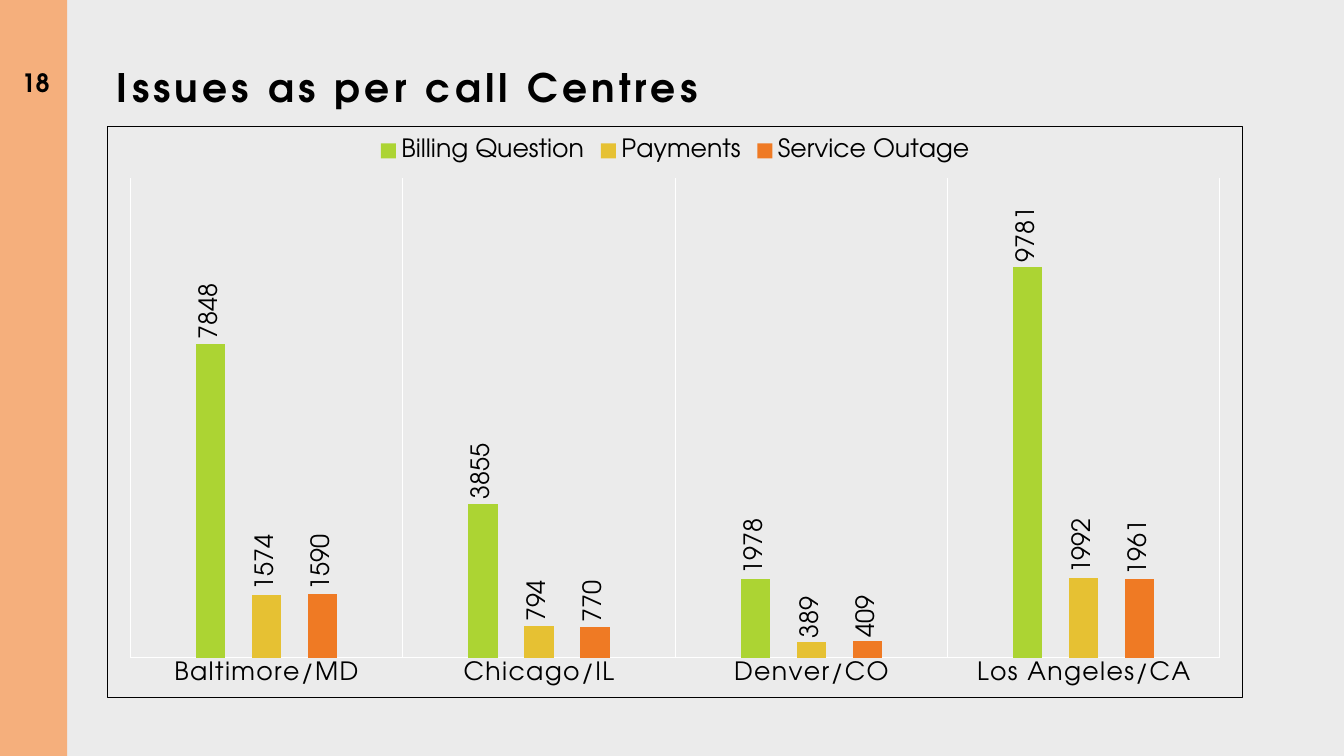
import pptx
import pptx.chart.data
import pptx.dml.color
import pptx.enum.chart
import pptx.enum.shapes
import pptx.enum.text
import pptx.oxml
import pptx.oxml.ns
import pptx.util

PX = 9525  # EMU per px, slide of 1280 x 720
FONT = "TeX Gyre Adventor"
BLACK, WHITE = "000000", "FFFFFF"
CENTRES = ["Baltimore/MD", "Chicago/IL", "Denver/CO", "Los Angeles/CA"]
ISSUES = [
    ("Billing Question", "ACD433", (7848, 3855, 1978, 9781)),
    ("Payments", "E6C133", (1574, 794, 389, 1992)),
    ("Service Outage", "EF7A24", (1590, 770, 409, 1961)),
]
qn = pptx.oxml.ns.qn


def box(*lengths):
    return [n * PX for n in lengths]


def rgb(value):
    return pptx.dml.color.RGBColor.from_string(value)


def fill(obj, color):
    obj.fill.solid()
    obj.fill.fore_color.rgb = rgb(color)


def set_font(font, size, bold=False):
    font.name = FONT
    font.size = pptx.util.Pt(size)
    font.bold = bold
    font.color.rgb = rgb(BLACK)


def set_line(line, color):
    line.color.rgb = rgb(color)
    line.width = pptx.util.Pt(0.75)


def set_spacing(element, points):
    for props in element.iter(qn("a:defRPr")):
        props.set("spc", str(points * 100))


def add_band(s, at, color):
    sp = s.shapes.add_shape(pptx.enum.shapes.MSO_SHAPE.RECTANGLE, *box(*at))
    sp.shadow.inherit = False
    fill(sp, color)
    sp.line.fill.background()


def add_text(s, at, text, size):
    sp = s.shapes.add_textbox(*box(*at))
    tf = sp.text_frame
    tf.word_wrap = True
    p = tf.paragraphs[0]
    p.text = text
    set_font(p.font, size, bold=True)
    return sp


def add_xml(xml):
    return pptx.oxml.parse_xml(xml.replace(">", " " + pptx.oxml.ns.nsdecls("c", "a") + ">", 1))


def add_chart_frame(chart, color):
    chart.element.find(qn("c:chart")).addnext(add_xml(
        '<c:spPr><a:noFill/><a:ln w="9525"><a:solidFill>'
        f'<a:srgbClr val="{color}"/></a:solidFill></a:ln></c:spPr>'))


def set_plot_area(chart, **place):
    area = chart.plots[0]._element.getparent()
    for old in area.findall(qn("c:layout")):
        area.remove(old)
    sizes = "".join(f'<c:{k} val="{v}"/>' for k, v in place.items())
    area.insert(0, add_xml(
        '<c:layout><c:manualLayout><c:layoutTarget val="inner"/>'
        f'<c:xMode val="edge"/><c:yMode val="edge"/>{sizes}'
        '</c:manualLayout></c:layout>'))


def add_issue_chart(s, at):
    data = pptx.chart.data.CategoryChartData()
    data.categories = CENTRES
    for name, _, values in ISSUES:
        data.add_series(name, values)
    kind = pptx.enum.chart.XL_CHART_TYPE.COLUMN_CLUSTERED
    chart = s.shapes.add_chart(kind, *box(*at), data).chart
    chart.has_title = False
    set_font(chart.font, 18)

    # Columns and their upright labels
    plot = chart.plots[0]
    plot.gap_width = 444
    plot.overlap = -90
    plot.vary_by_categories = False
    for series, (_, color, _) in zip(plot.series, ISSUES):
        fill(series.format, color)
        series.invert_if_negative = False
        labels = series.data_labels
        labels.show_value = True
        labels.position = pptx.enum.chart.XL_LABEL_POSITION.OUTSIDE_END
        set_font(labels.font, 18)
    for labels in chart.element.iter(qn("c:dLbls")):
        for body in labels.iter(qn("a:bodyPr")):
            body.set("rot", "-5400000")
            body.set("vert", "horz")

    # Axes
    axis = chart.category_axis
    axis.major_tick_mark = pptx.enum.chart.XL_TICK_MARK.NONE
    axis.has_major_gridlines = True
    set_line(axis.format.line, WHITE)
    set_line(axis.major_gridlines.format.line, WHITE)
    set_font(axis.tick_labels.font, 18)
    set_spacing(axis._element, 1)
    values = chart.value_axis
    values.minimum_scale, values.maximum_scale = 0, 12000
    values.has_major_gridlines = False
    values.visible = False

    # Legend and frame
    chart.has_legend = True
    chart.legend.position = pptx.enum.chart.XL_LEGEND_POSITION.TOP
    chart.legend.include_in_layout = False
    set_font(chart.legend.font, 18)
    set_plot_area(chart, x=0.02, y=0.09, w=0.96, h=0.84)
    add_chart_frame(chart, BLACK)


def main():
    prs = pptx.Presentation()
    prs.slide_width, prs.slide_height = box(1280, 720)
    s = prs.slides.add_slide(prs.slide_layouts[6])
    fill(s.background, "EBEBEB")

    # Side band with the page number
    add_band(s, (0, 0, 64, 720), "F5AF7C")
    number = add_text(s, (2, 60, 64, 38), "18", 18).text_frame
    number.vertical_anchor = pptx.enum.text.MSO_ANCHOR.BOTTOM
    number.paragraphs[0].alignment = pptx.enum.text.PP_ALIGN.CENTER

    # Title
    title = add_text(s, (102, 64, 1082, 112), "Issues as per call Centres", 28)
    title.text_frame.paragraphs[0].line_spacing = 0.8
    set_spacing(title.element, 3)

    # Issues by call centre
    add_issue_chart(s, (102, 120, 1082, 545))

    prs.save("out.pptx")


if __name__ == "__main__":
    main()
